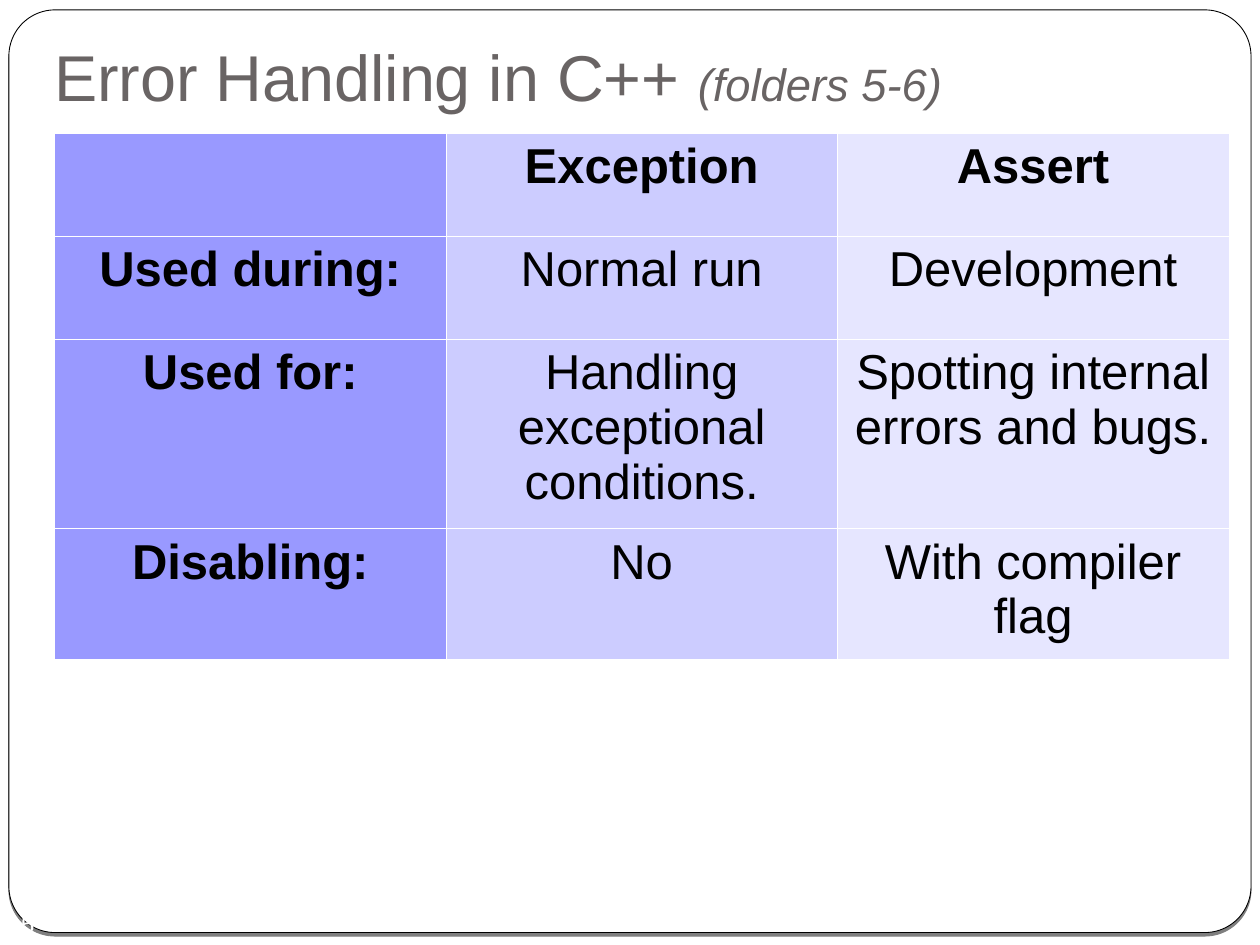
from lxml.etree import SubElement
from pptx import Presentation
from pptx.dml.color import RGBColor
from pptx.enum.shapes import MSO_SHAPE as SHAPE
from pptx.enum.text import MSO_ANCHOR as ANCHOR, MSO_AUTO_SIZE as AUTO, PP_ALIGN as ALIGN
from pptx.oxml import parse_xml
from pptx.oxml.ns import nsdecls, qn
from pptx.util import Cm, Pt


def rgb(value):
    return RGBColor.from_string(value)


def add_run(p, text, size=28, color="000000", bold=False, italic=False):
    r = p.add_run()
    r.text = text
    r.font.name = "Arial"
    r.font.size = Pt(size)
    r.font.color.rgb = rgb(color)
    r.font.bold = bold
    r.font.italic = italic


prs = Presentation()
prs.slide_width, prs.slide_height = Cm(25.4), Cm(19.05)
s = prs.slides.add_slide(prs.slide_layouts[5])
s.background.fill.solid()
s.background.fill.fore_color.rgb = rgb("FFFFFF")

# Rounded frame, behind everything else
frame = s.shapes.add_shape(SHAPE.ROUNDED_RECTANGLE, Cm(0.18), Cm(0.2), Cm(25.04), Cm(18.6))
frame.adjustments[0] = 0.05
frame.fill.solid()
frame.fill.fore_color.rgb = rgb("FFFFFF")
frame.line.color.rgb = rgb("000000")
frame.line.width = Pt(0.5)
frame._element.spPr.append(parse_xml(
    f'<a:effectLst {nsdecls("a")}><a:outerShdw blurRad="0" dist="{Pt(2)}" dir="5400000">'
    '<a:srgbClr val="000000"><a:alpha val="50000"/></a:srgbClr></a:outerShdw></a:effectLst>'))
s.shapes._spTree.insert(2, frame._element)

# Title
title = s.shapes.title
title.left, title.top, title.width, title.height = Cm(0.84), Cm(0.76), Cm(23.7), Cm(1.78)
tf = title.text_frame
tf.auto_size = AUTO.NONE
tf.vertical_anchor = ANCHOR.BOTTOM
tf.margin_bottom = Cm(0.25)
p = tf.paragraphs[0]
p.alignment = ALIGN.LEFT
p.line_spacing = 0.8
add_run(p, "Error Handling in C++ ", size=37, color="696464")
add_run(p, "(folders 5-6)", size=25.9, color="696464", italic=True)

# Page number
number = s.shapes.add_textbox(Cm(0), Cm(18.21), Cm(0.84), Cm(0.84))
tf = number.text_frame
tf.word_wrap = True
tf.margin_left = tf.margin_right = tf.margin_top = tf.margin_bottom = 0
tf.vertical_anchor = ANCHOR.MIDDLE
p = tf.paragraphs[0]
p.alignment = ALIGN.CENTER
add_run(p, "15", size=14, color="FFFFFF")

# Comparison table
rows = [
    ("", "Exception", "Assert"),
    ("Used during:", "Normal run", "Development"),
    ("Used for:", "Handling exceptional conditions.", "Spotting internal errors and bugs."),
    ("Disabling:", "No", "With compiler flag"),
]
row_heights = [2.08, 2.08, 3.56, 2.46]
col_fills = ["9999FF", "CCCCFF", "E6E6FF"]
table = s.shapes.add_table(len(rows), len(col_fills), Cm(1.1), Cm(2.68),
                           Cm(23.67), Cm(sum(row_heights))).table
for col in table.columns:
    col.width = Cm(7.89)
for i, (row, height) in enumerate(zip(rows, row_heights)):
    table.rows[i].height = Cm(height)
    for j, (text, fill) in enumerate(zip(row, col_fills)):
        cell = table.cell(i, j)
        tcPr = cell._tc.get_or_add_tcPr()
        for side in ("a:lnL", "a:lnR", "a:lnT", "a:lnB"):
            ln = SubElement(tcPr, qn(side), w=str(Pt(0.06)))
            SubElement(SubElement(ln, qn("a:solidFill")), qn("a:srgbClr"), val="FFFFFF")
        cell.fill.solid()
        cell.fill.fore_color.rgb = rgb(fill)
        if text:
            p = cell.text_frame.paragraphs[0]
            p.alignment = ALIGN.CENTER
            add_run(p, text, bold=i == 0 or j == 0)

prs.save("out.pptx")
